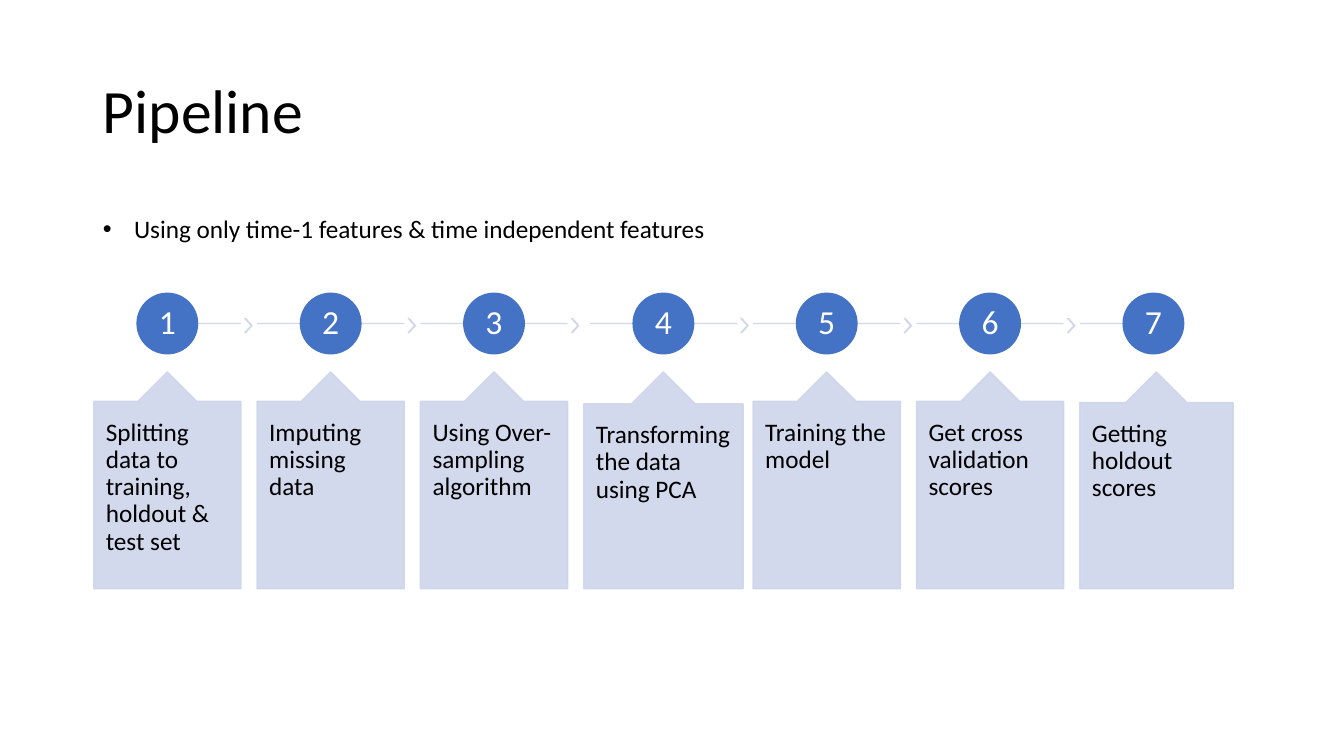
from pptx import Presentation
from pptx.dml.color import RGBColor
from pptx.enum.shapes import MSO_CONNECTOR, MSO_SHAPE
from pptx.enum.text import MSO_ANCHOR, MSO_AUTO_SIZE, PP_ALIGN
from pptx.oxml.ns import qn
from pptx.util import Pt

PX = 9144  # EMU per px, 100 px to the inch
BLACK = RGBColor(0x00, 0x00, 0x00)
WHITE = RGBColor(0xFF, 0xFF, 0xFF)
BLUE = RGBColor(0x44, 0x72, 0xC4)
PALE = RGBColor(0xCF, 0xD5, 0xEA)
LEFT, CENTER = PP_ALIGN.LEFT, PP_ALIGN.CENTER
TOP, MIDDLE = MSO_ANCHOR.TOP, MSO_ANCHOR.MIDDLE
CHEVRON, OVAL = MSO_SHAPE.CHEVRON, MSO_SHAPE.OVAL
CALLOUT = MSO_SHAPE.UP_ARROW_CALLOUT
STRAIGHT = MSO_CONNECTOR.STRAIGHT
NO_AUTOSIZE = MSO_AUTO_SIZE.NONE

HALF, GAP = 73, 16  # half a step's rail, space between rails
RAIL_Y, CIRCLE = 321, 60
BOX_Y, BOX_H = 369, 215

# text, box width, distance from box left to circle centre
STEPS = [
    ("Splitting data to training, holdout & test set", 146, 73),
    ("Imputing missing data", 146, 73),
    ("Using Over- sampling algorithm", 146, 73),
    ("Transforming the data using PCA", 158, 79),
    ("Training the model", 146, 73),
    ("Get cross validation scores", 146, 73),
    ("Getting holdout scores", 152, 73),
]


def write(sp, text, size=18, color=BLACK, align=LEFT, anchor=TOP,
          spacing=0.9, inset=None):
    """Fill a shape with one formatted paragraph and return it."""
    tf = sp.text_frame
    tf.word_wrap = True
    tf.auto_size = NO_AUTOSIZE
    tf.vertical_anchor = anchor
    if inset:
        tf.margin_left = tf.margin_right = inset[0] * PX
        tf.margin_top = tf.margin_bottom = inset[1] * PX
    p = tf.paragraphs[0]
    p.alignment = align
    p.line_spacing = spacing
    p.space_before = Pt(0)
    r = p.add_run()
    r.text = text
    r.font.name = "Calibri"
    r.font.size = Pt(size)
    r.font.color.rgb = color
    return p


class PipelineSlide:
    def __init__(self, prs):
        self.s = prs.slides.add_slide(prs.slide_layouts[1])
        self.title_ph, self.body_ph = self.s.placeholders

    def place(self, sp, x, y, w, h):
        sp.left, sp.top, sp.width, sp.height = (v * PX for v in (x, y, w, h))

    def soften(self, sp):
        """Make the colours of a shape 90% opaque."""
        for clr in sp.element.spPr.iter(qn("a:srgbClr")):
            clr.makeelement(qn("a:alpha"))
            alpha = clr.makeelement(qn("a:alpha"), {"val": "90000"})
            clr.append(alpha)

    def title(self, text, *box):
        self.place(self.title_ph, *box)
        write(self.title_ph, text, size=44, anchor=MIDDLE)

    def bullet(self, text, *box):
        self.place(self.body_ph, *box)
        p = write(self.body_ph, text, spacing=1.0)
        pPr = p._p.get_or_add_pPr()
        pPr.set("marL", str(31 * PX))
        pPr.set("indent", str(-31 * PX))

    def shape(self, kind, x, y, w, h, color, adjustments=()):
        sp = self.s.shapes.add_shape(kind, x * PX, y * PX, w * PX, h * PX)
        sp.shadow.inherit = False
        sp.fill.solid()
        sp.fill.fore_color.rgb = color
        sp.line.color.rgb = color
        sp.line.width = Pt(1)
        for i, value in enumerate(adjustments):
            sp.adjustments[i] = value
        return sp

    def rail(self, x1, x2, y):
        ln = self.s.shapes.add_connector(STRAIGHT, x1 * PX, y * PX,
                                         x2 * PX, y * PX)
        ln.line.color.rgb = PALE
        ln.line.width = Pt(1)
        spPr = ln.element.spPr
        spPr.append(spPr.makeelement(qn("a:effectLst")))
        self.soften(ln)

    def chevron(self, x, y):
        self.soften(self.shape(CHEVRON, x, y, 7, 14, PALE, [0.9]))

    def circle(self, cx, cy, text):
        sp = self.shape(OVAL, cx - CIRCLE // 2, cy - CIRCLE // 2,
                        CIRCLE, CIRCLE, BLUE)
        write(sp, text, size=24, color=WHITE, align=CENTER, anchor=MIDDLE,
              inset=(2, 2))

    def callout(self, x, width, text):
        sp = self.shape(CALLOUT, x, BOX_Y, width, BOX_H, PALE,
                        [0.5, 0.2, 0.2, 1])
        self.soften(sp)
        write(sp, text, inset=(12, 18))


def main():
    prs = Presentation()
    prs.slide_width, prs.slide_height = 1333 * PX, 750 * PX
    slide = PipelineSlide(prs)
    slide.title("Pipeline", 92, 40, 1150, 145)
    slide.bullet("Using only time-1 features & time independent features",
                 92, 207, 625, 71)

    x = 93
    for number, (text, width, offset) in enumerate(STEPS, 1):
        cx = x + offset
        first, last = number == 1, number == len(STEPS)
        slide.rail(cx if first else cx - HALF, cx if last else cx + HALF,
                   RAIL_Y)
        if not last:
            slide.chevron(cx + HALF + 4, RAIL_Y - 5)
        slide.circle(cx, RAIL_Y, str(number))
        slide.callout(x, width, text)
        x = cx + HALF + GAP

    prs.save("out.pptx")


if __name__ == "__main__":
    main()
